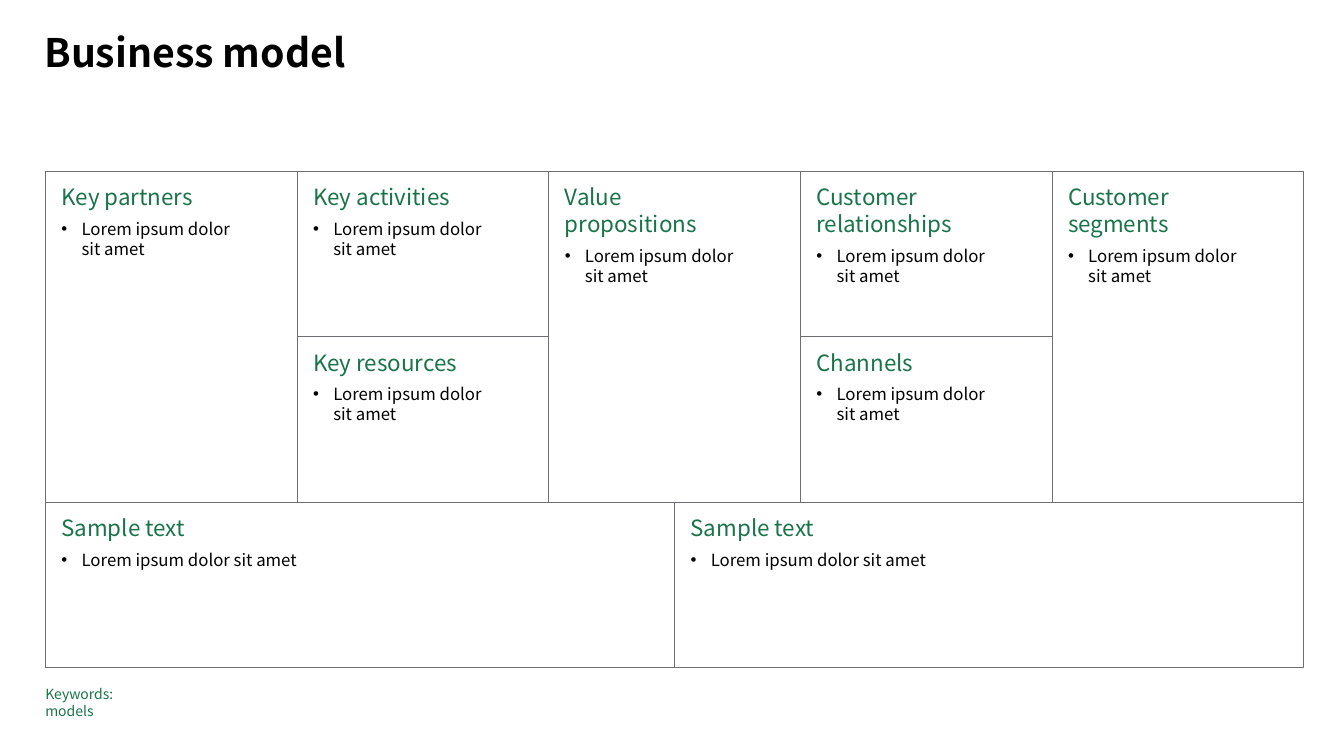
from dataclasses import dataclass

from lxml.etree import SubElement
from pptx import Presentation
from pptx.dml.color import RGBColor as RGB
from pptx.enum.shapes import MSO_SHAPE as SHAPE
from pptx.enum.text import MSO_ANCHOR as ANCHOR, MSO_AUTO_SIZE as AUTO, PP_ALIGN as ALIGN
from pptx.oxml.ns import qn
from pptx.util import Inches, Pt


@dataclass(frozen=True)
class Theme:
    font: str = "Noto Sans CJK JP"
    ink: RGB = RGB(0x00, 0x00, 0x00)
    accent: RGB = RGB(0x1A, 0x74, 0x49)
    rule: RGB = RGB(0x6E, 0x6F, 0x73)
    title: int = 28
    heading: int = 16
    body: int = 12
    note: int = 10
    leading: float = 1.2


THEME = Theme()
CANVAS = (0.45, 1.7, 12.48, 4.92)
COLS, ROWS = 10, 3
LOREM = "Lorem ipsum dolor sit amet"
LOREM_2 = "Lorem ipsum dolor \vsit amet"

# column, row, columns wide, rows high, heading, bullet
BLOCKS = [
    (0, 0, 2, 2, "Key partners", LOREM_2),
    (2, 0, 2, 1, "Key activities", LOREM_2),
    (2, 1, 2, 1, "Key resources", LOREM_2),
    (4, 0, 2, 2, "Value \vpropositions", LOREM_2),
    (6, 0, 2, 1, "Customer \vrelationships", LOREM_2),
    (6, 1, 2, 1, "Channels", LOREM_2),
    (8, 0, 2, 2, "Customer \vsegments", LOREM_2),
    (0, 2, 5, 1, "Sample text", LOREM),
    (5, 2, 5, 1, "Sample text", LOREM),
]


def set_attrs(obj, **values):
    for name, value in values.items():
        setattr(obj, name, value)


def set_frame(tf, x=0, y=0, wrap=True):
    set_attrs(tf, margin_left=Inches(x), margin_right=Inches(x), margin_top=Inches(y),
              margin_bottom=Inches(y), word_wrap=wrap, auto_size=AUTO.NONE,
              vertical_anchor=ANCHOR.TOP)


def write(p, text, size, color, after=0, bold=False):
    p.text = text
    set_attrs(p, alignment=ALIGN.LEFT, space_before=Pt(0), space_after=Pt(after),
              line_spacing=Pt(round(size * THEME.leading, 1)))
    for r in p.runs:
        set_attrs(r.font, name=THEME.font, size=Pt(size), bold=bold)
        r.font.color.rgb = color


def add_bullet(p, indent=0.2):
    p.level = 1
    pPr = p._p.get_or_add_pPr()
    pPr.set("marL", str(Inches(indent)))
    pPr.set("indent", str(-Inches(indent)))
    color = SubElement(pPr, qn("a:buClr"))
    SubElement(color, qn("a:srgbClr")).set("val", str(THEME.ink))
    SubElement(pPr, qn("a:buFont")).set("typeface", "Arial")
    SubElement(pPr, qn("a:buChar")).set("char", "•")


def add_title(slide, box, text):
    sp = slide.shapes.title
    set_attrs(sp, **dict(zip(("left", "top", "width", "height"), map(Inches, box))))
    set_frame(sp.text_frame)
    write(sp.text_frame.paragraphs[0], text, THEME.title, THEME.ink, bold=True)


def add_block(slide, box, heading, bullet):
    sp = slide.shapes.add_shape(SHAPE.RECTANGLE, *map(Inches, box))
    sp.shadow.inherit = False
    sp.fill.background()
    sp.line.color.rgb = THEME.rule
    sp.line.width = Pt(0.5)
    tf = sp.text_frame
    set_frame(tf, 0.16, 0.12)
    write(tf.paragraphs[0], heading, THEME.heading, THEME.accent, after=6)
    p = tf.add_paragraph()
    write(p, bullet, THEME.body, THEME.ink, after=6)
    add_bullet(p)


def add_canvas(slide, box):
    """Place the blocks on a grid of COLS by ROWS that fills the box."""
    x, y, w, h = box
    cw, rh = w / COLS, h / ROWS
    for col, row, wide, high, heading, bullet in BLOCKS:
        add_block(slide, (x + col * cw, y + row * rh, wide * cw, high * rh), heading, bullet)


def add_keywords(slide, box, text):
    tf = slide.shapes.add_textbox(*map(Inches, box)).text_frame
    set_frame(tf, wrap=False)
    write(tf.paragraphs[0], text, THEME.note, THEME.accent)


def main():
    prs = Presentation()
    prs.slide_width, prs.slide_height = Inches(13.33), Inches(7.5)
    slide = prs.slides.add_slide(prs.slide_layouts[5])
    add_title(slide, (0.44, 0.28, 11.03, 0.43), "Business model")
    add_canvas(slide, CANVAS)
    add_keywords(slide, (0.45, 6.8, 1.14, 0.34), "Keywords: \vmodels")
    prs.save("out.pptx")


if __name__ == "__main__":
    main()
